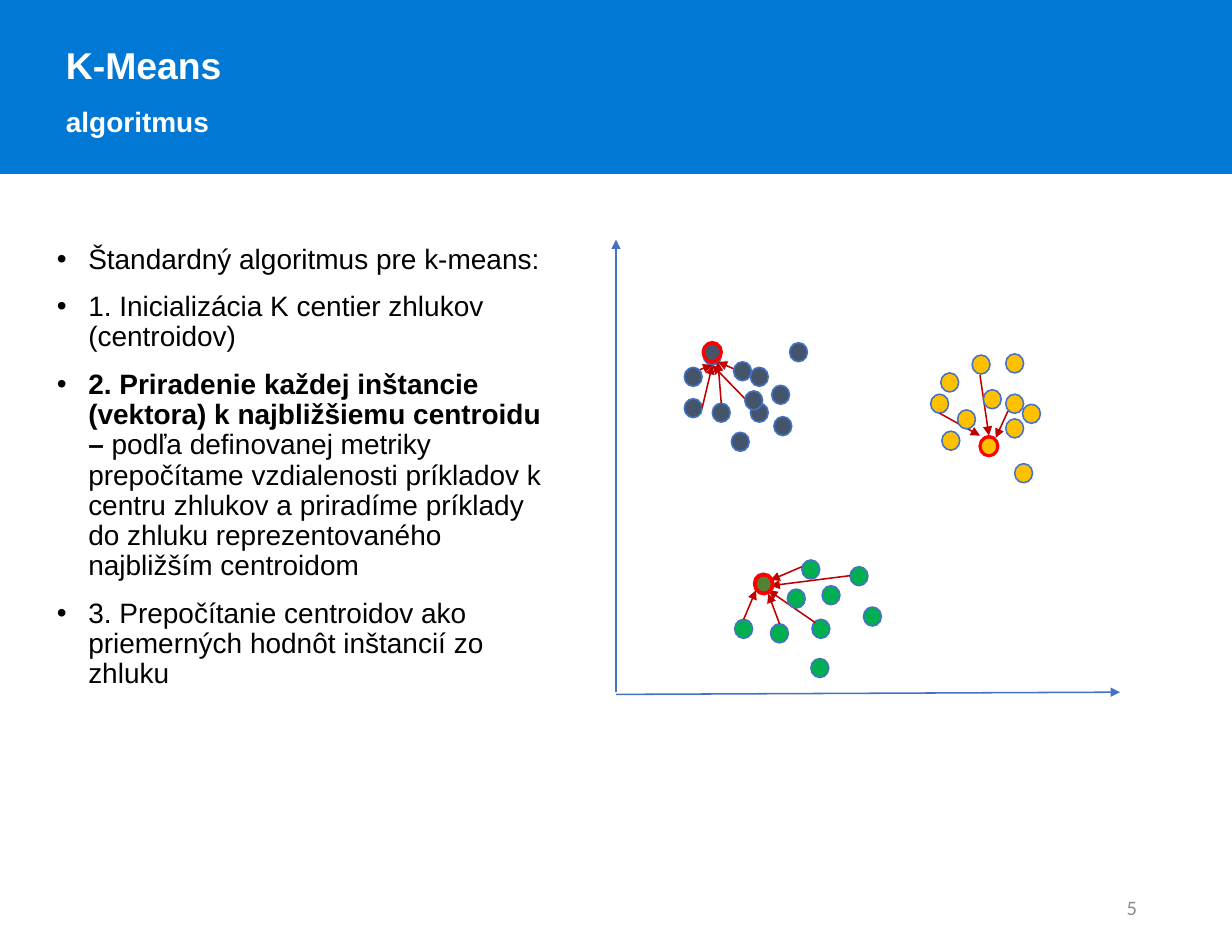
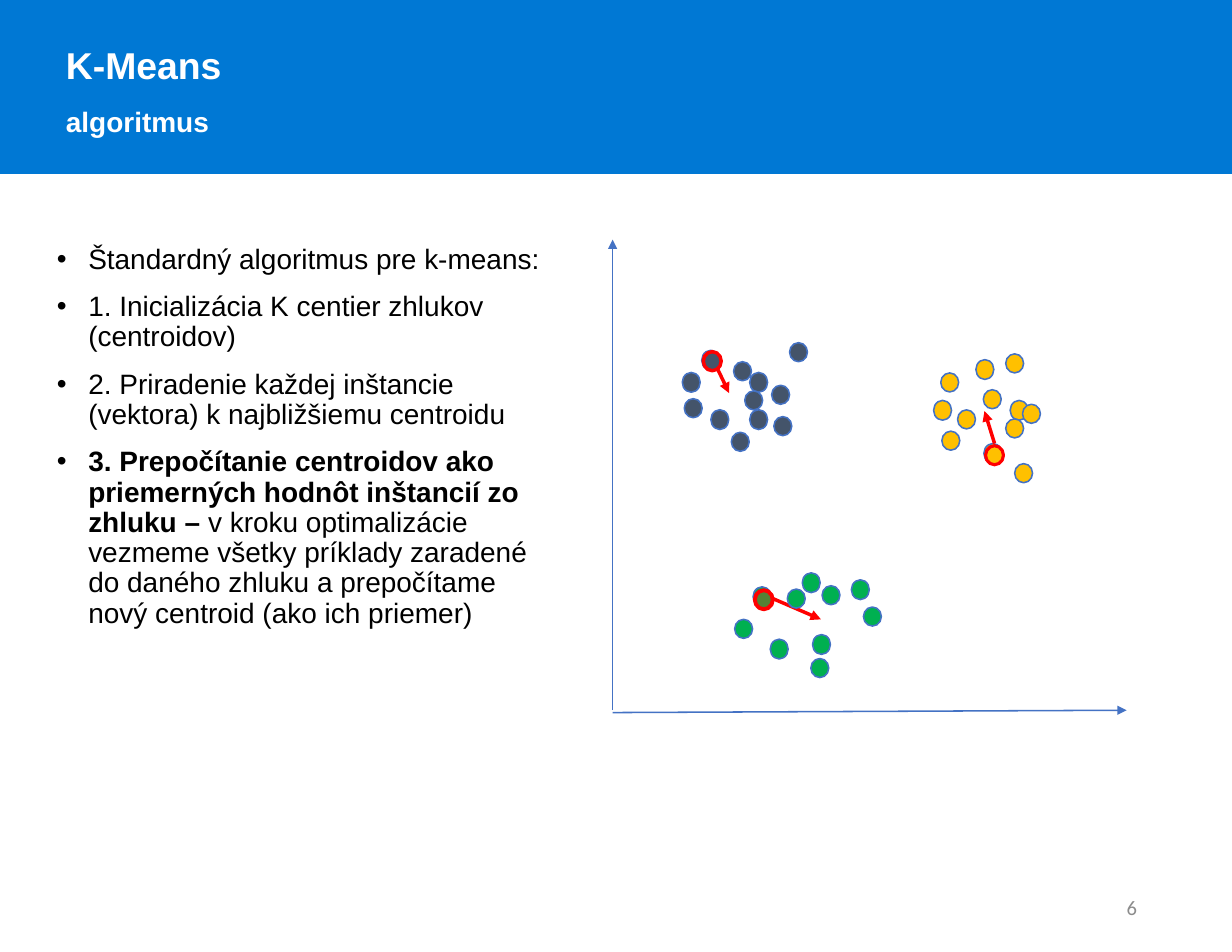
from dataclasses import dataclass

from lxml import etree
from pptx import Presentation
from pptx import util as u
from pptx.dml import color
from pptx.enum import shapes, text
from pptx.oxml import ns


# Theme: colours, fonts and type sizes
@dataclass(frozen=True)
class Theme:
    band: str = "0078D4"
    white: str = "FFFFFF"
    ink: str = "000000"
    muted: str = "8C8C8C"
    outline: str = "4472C4"
    slate: str = "44546A"
    yellow: str = "FFC000"
    green: str = "00B050"
    olive: str = "548235"
    distance: str = "C00000"
    red: str = "FF0000"
    font: str = "Arial"
    number_font: str = "Calibri"
    title: float = 24
    body: float = 18
    number: float = 13.2
    thin: float = 1
    thick: float = 2.25


THEME = Theme()
GRID_CM = 2.54  # one layout unit; the page is 11 by 8.5 units
DOT_WIDTH, DOT_HEIGHT = 0.16, 0.17

# Clusters: instances that keep their place, and those that follow the plot scale
FIXED_POINTS = {
    THEME.slate: [(6.89, 3.44), (6.65, 3.49), (6.55, 3.23), (6.91, 3.72),
                  (7.05, 3.06), (6.11, 3.56), (6.53, 3.86)],
    THEME.green: [(7.03, 5.26), (7.71, 5.42), (7.24, 5.88), (6.56, 5.53),
                  (7.34, 5.23)],
    THEME.yellow: [(8.78, 3.48), (8.98, 3.74), (8.41, 3.85), (8.4, 3.33),
                   (8.98, 3.16), (8.55, 3.66), (9.06, 4.14), (9.13, 3.61)],
}
PLOT_POINTS = {
    THEME.slate: [(6.11, 3.28), (6.28, 3.09), (6.7, 3.28), (6.36, 3.6),
                  (6.7, 3.6)],
    THEME.yellow: [(8.31, 3.52), (8.68, 3.17), (8.98, 3.52), (8.75, 3.89)],
    THEME.green: [(6.73, 5.12), (6.88, 5.57), (7.16, 5), (7.59, 5.06),
                  (7.25, 5.53)],
}
AXES = [((5.5, 6.18), (5.5, 2.14)), ((5.5, 6.2), (10, 6.18))]
CENTROID_STYLES = [(THEME.slate, 2.25), (THEME.olive, 2.5), (THEME.yellow, 2)]

# Assignment step: instances point to their nearest centroid
ASSIGNMENTS = [
    ((6.25, 3.3), (6.36, 3.26)), ((6.44, 3.6), (6.41, 3.23)),
    ((6.7, 3.36), (6.41, 3.23)), ((6.72, 3.63), (6.36, 3.26)),
    ((7.16, 5.06), (6.88, 5.18)), ((6.96, 5.57), (6.86, 5.3)),
    ((7.59, 5.14), (6.88, 5.23)), ((7.28, 5.56), (6.86, 5.27)),
    ((9, 3.67), (8.89, 3.91)), ((8.75, 3.35), (8.83, 3.89)),
    ((8.39, 3.69), (8.75, 3.89)),
]
FRONT_ASSIGNMENTS = [((6.64, 5.53), (6.75, 5.27)), ((6.27, 3.64), (6.36, 3.26))]
ASSIGN_CENTROIDS = [(6.28, 3.06), (6.74, 5.13), (8.75, 3.9)]

# Update step: centroids move to the mean of their cluster
MOVES = [((6.4, 3.28), (6.51, 3.51)), ((8.88, 3.96), (8.79, 3.67)),
         ((6.89, 5.34), (7.33, 5.53))]
UPDATE_CENTROIDS = [(6.28, 3.14), (6.74, 5.27), (8.8, 3.98)]

# Wording: each item is a bold part and a regular part
INTRO = [("", "Štandardný algoritmus pre k-means:"),
         ("", "1. Inicializácia K centier zhlukov (centroidov)")]
ASSIGN = "2. Priradenie každej inštancie (vektora) k najbližšiemu centroidu"
UPDATE = "3. Prepočítanie centroidov ako priemerných hodnôt inštancií zo zhluku"
ASSIGN_DETAIL = ("podľa definovanej metriky prepočítame vzdialenosti príkladov k "
                 "centru zhlukov a priradíme príklady do zhluku reprezentovaného "
                 "najbližším centroidom")
UPDATE_DETAIL = ("v kroku optimalizácie vezmeme všetky príklady zaradené do daného "
                 "zhluku a prepočítame nový centroid (ako ich priemer)")


def grid(*values):
    return [u.Cm(value * GRID_CM) for value in values]


def rgb(value):
    return color.RGBColor.from_string(value)


def apply(target, values):
    for name, value in values.items():
        setattr(target, name, value)


# Basic elements
def add_shape(parent, kind, at, fill, line, width=THEME.thin):
    shape = parent.shapes.add_shape(kind, *grid(*at))
    shape.shadow.inherit = False
    shape.fill.solid()
    shape.fill.fore_color.rgb = rgb(fill)
    shape.line.color.rgb = rgb(line)
    shape.line.width = u.Pt(width)


def add_arrow(parent, start, end, line, width=THEME.thin):
    arrow = parent.shapes.add_connector(
        shapes.MSO_CONNECTOR.STRAIGHT, *grid(*start, *end))
    arrow.line.color.rgb = rgb(line)
    arrow.line.width = u.Pt(width)
    outline = arrow.line._get_or_add_ln()
    etree.SubElement(outline, ns.qn("a:tailEnd"), type="triangle")
    etree.SubElement(arrow._element.spPr, ns.qn("a:effectLst"))


def add_dot(parent, point, fill, line=THEME.outline, width=THEME.thin, stretch=1):
    add_shape(parent, shapes.MSO_SHAPE.OVAL,
              (*point, DOT_WIDTH, DOT_HEIGHT * stretch), fill, line, width)


def add_box(page, at, **frame_format):
    frame = page.shapes.add_textbox(*grid(*at)).text_frame
    apply(frame, {"word_wrap": True, **frame_format})
    return frame


def next_para(frame, **para_format):
    para = frame.paragraphs[0]
    if para.runs:
        para = frame.add_paragraph()
    apply(para, para_format)
    return para


def add_span(para, words, size, ink, name=THEME.font, bold=False):
    span = para.add_run()
    span.text = words
    apply(span.font, {"name": name, "size": u.Pt(size), "bold": bold})
    span.font.color.rgb = rgb(ink)


def add_bullet(para):
    margin = grid(0.28)[0]
    properties = para._p.get_or_add_pPr()
    for name, value in {"marL": margin, "indent": -margin}.items():
        properties.set(name, str(value))
    etree.SubElement(properties, ns.qn("a:buFont"), typeface=THEME.font)
    etree.SubElement(properties, ns.qn("a:buChar"), char="•")


# Parts of the page
def add_header(page):
    add_shape(page, shapes.MSO_SHAPE.RECTANGLE, (0, 0, 11, 1.55),
              THEME.band, THEME.band)
    frame = add_box(page, (0.49, 0.13, 10.18, 1.11),
                    auto_size=text.MSO_AUTO_SIZE.SHAPE_TO_FIT_TEXT)
    for words, size in (("K-Means", THEME.title), ("algoritmus", THEME.body)):
        para = next_para(frame, line_spacing=1.5)
        add_span(para, words, size, THEME.white, bold=True)


def add_number(page, number):
    frame = add_box(page, (7.77, 7.88, 2.48, 0.45),
                    vertical_anchor=text.MSO_ANCHOR.MIDDLE)
    para = next_para(frame, alignment=text.PP_ALIGN.RIGHT)
    add_span(para, str(number), THEME.number, THEME.muted, THEME.number_font)


def add_steps(page, steps):
    frame = add_box(page, (0.41, 2.14, 4.59, 5.74))
    for strong, regular in steps:
        para = next_para(frame, line_spacing=0.9, space_before=u.Pt(11))
        add_bullet(para)
        for words, bold in ((strong, True), (regular, False)):
            if words:
                add_span(para, words, THEME.body, THEME.ink, bold=bold)


def add_plot(page, arrows, line, width, origin_x=5.5, scale=(1, 1)):
    """Draw the axes, scaled instances and arrows as one group."""
    def place(point):
        return (origin_x + (point[0] - 5.5) * scale[0],
                2.14 + (point[1] - 2.14) * scale[1])

    plot = page.shapes.add_group_shape()
    for start, end in AXES:
        add_arrow(plot, place(start), place(end), THEME.outline)
    for fill, points in PLOT_POINTS.items():
        for point in points:
            add_dot(plot, place(point), fill, stretch=scale[1])
    for start, end in arrows:
        add_arrow(plot, start, end, line, width)


def add_front(page, arrows, centroids):
    """Draw the fixed instances, front arrows and centroids."""
    for fill, points in FIXED_POINTS.items():
        for point in points:
            add_dot(page, point, fill)
    for start, end in arrows:
        add_arrow(page, start, end, THEME.distance)
    for point, (fill, width) in zip(centroids, CENTROID_STYLES):
        add_dot(page, point, fill, THEME.red, width)


def add_page(deck, number, steps):
    page = deck.slides.add_slide(deck.slide_layouts[6])
    add_header(page)
    add_number(page, number)
    add_steps(page, INTRO + steps)
    return page


def main():
    deck = Presentation()
    deck.slide_width, deck.slide_height = grid(11, 8.5)

    # Assignment of instances
    page = add_page(deck, 5, [(ASSIGN + " – ", ASSIGN_DETAIL), ("", UPDATE)])
    add_plot(page, ASSIGNMENTS, THEME.distance, THEME.thin)
    add_front(page, FRONT_ASSIGNMENTS, ASSIGN_CENTROIDS)

    # Update of centroids, on a slightly larger plot
    page = add_page(deck, 6, [("", ASSIGN), (UPDATE + " – ", UPDATE_DETAIL)])
    add_plot(page, MOVES, THEME.red, THEME.thick, origin_x=5.47, scale=(1.02, 1.04))
    add_front(page, [], UPDATE_CENTROIDS)

    deck.save("out.pptx")


main()
